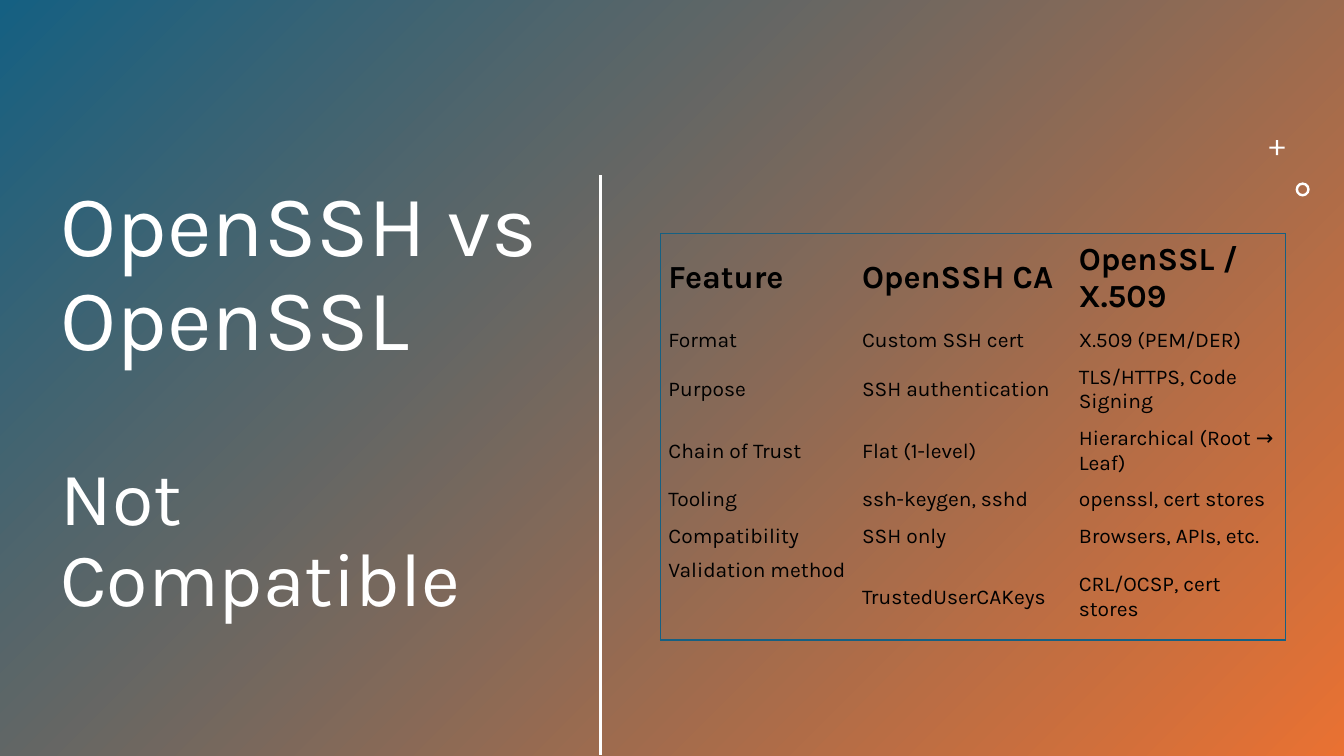
from lxml import etree
from pptx import Presentation
from pptx.dml.color import RGBColor
from pptx.enum.shapes import MSO_CONNECTOR, MSO_SHAPE
from pptx.enum.text import MSO_ANCHOR, MSO_AUTO_SIZE, PP_ALIGN
from pptx.oxml.ns import qn
from pptx.util import Inches, Pt

TOP, MIDDLE = MSO_ANCHOR.TOP, MSO_ANCHOR.MIDDLE
LEFT = PP_ALIGN.LEFT
COLORS = {"blue": "156082", "orange": "E97132", "white": "FFFFFF", "black": "000000"}
FONT = "Karla"


def rgb(name):
    return RGBColor.from_string(COLORS[name])


def write(para, text, size, color, bold=False, line_spacing=1.0, space_before=0):
    para.alignment = LEFT
    para.line_spacing = line_spacing
    para.space_before = Pt(space_before)
    span = para.add_run()
    span.text = text
    span.font.name = FONT
    span.font.size = Pt(size)
    span.font.bold = bold
    span.font.color.rgb = rgb(color)


deck = Presentation()
deck.slide_width, deck.slide_height = Inches(13.33), Inches(7.5)
page = deck.slides.add_slide(deck.slide_layouts[5])
title = page.shapes.title

# Gradient backdrop, placed behind the title
backdrop = page.shapes.add_shape(
    MSO_SHAPE.RECTANGLE, 0, 0, deck.slide_width, deck.slide_height)
backdrop.shadow.inherit = False
backdrop.line.fill.background()
backdrop.fill.gradient()
backdrop.fill.gradient_angle = 315
for stop, color in zip(backdrop.fill.gradient_stops, ("blue", "orange")):
    stop.color.rgb = rgb(color)
title._element.addprevious(backdrop._element)

# Title
title.left, title.top = Inches(0.5), Inches(1.75)
title.width, title.height = Inches(5.21), Inches(3.97)
frame = title.text_frame
frame.word_wrap = True
frame.auto_size = MSO_AUTO_SIZE.NONE
frame.vertical_anchor = TOP
write(frame.paragraphs[0], "OpenSSH vs OpenSSL", 62, "white", line_spacing=0.9)
write(frame.add_paragraph(), "Not Compatible", 54, "white",
      line_spacing=0.9, space_before=65)

# Divider
divider = page.shapes.add_connector(
    MSO_CONNECTOR.STRAIGHT, Inches(5.96), Inches(1.74), Inches(5.96), Inches(7.49))
divider.line.color.rgb = rgb("white")
divider.line.width = Pt(2)
etree.SubElement(divider._element.spPr, qn("a:effectLst"))

# Plus and ring ornaments: shape, left, top, side, adjustment
for kind, left, top, side, adjustment in (
    (MSO_SHAPE.CROSS, 12.59, 1.39, 0.15, 0.43),
    (MSO_SHAPE.DONUT, 12.85, 1.81, 0.14, 0.18),
):
    ornament = page.shapes.add_shape(
        kind, Inches(left), Inches(top), Inches(side), Inches(side))
    ornament.adjustments[0] = adjustment
    ornament.shadow.inherit = False
    ornament.fill.solid()
    ornament.fill.fore_color.rgb = rgb("white")
    ornament.line.fill.background()

# Comparison table
ROWS = [
    ("Feature", "OpenSSH CA", "OpenSSL / X.509"),
    ("Format", "Custom SSH cert", "X.509 (PEM/DER)"),
    ("Purpose", "SSH authentication", "TLS/HTTPS, Code Signing"),
    ("Chain of Trust", "Flat (1-level)", "Hierarchical (Root → Leaf)"),
    ("Tooling", "ssh-keygen, sshd", "openssl, cert stores"),
    ("Compatibility", "SSH only", "Browsers, APIs, etc."),
    ("Validation method", "TrustedUserCAKeys", "CRL/OCSP, cert stores"),
]
WIDTHS = [1.92, 2.15, 2.13]
HEIGHTS = [0.88, 0.36, 0.61, 0.61, 0.36, 0.36, 0.85]
last_row, last_column = len(ROWS) - 1, len(WIDTHS) - 1

table = page.shapes.add_table(
    len(ROWS), len(WIDTHS), Inches(6.55), Inches(2.32),
    Inches(sum(WIDTHS)), Inches(sum(HEIGHTS))).table
table.first_row = table.horz_banding = False
for column, width in zip(table.columns, WIDTHS):
    column.width = Inches(width)
for row, height in zip(table.rows, HEIGHTS):
    row.height = Inches(height)

for r, texts in enumerate(ROWS):
    for c, text in enumerate(texts):
        cell = table.cell(r, c)
        cell.margin_left = cell.margin_right = Inches(0.08)
        cell.margin_top = cell.margin_bottom = Inches(0.04)
        cell.vertical_anchor = TOP if (r, c) == (last_row, 0) else MIDDLE
        write(cell.text_frame.paragraphs[0], text, 23 if r == 0 else 15,
              "black", bold=r == 0)

        # Only the outer edge of the table is ruled
        properties = cell._tc.get_or_add_tcPr()
        for tag, outer in (("a:lnL", c == 0), ("a:lnR", c == last_column),
                           ("a:lnT", r == 0), ("a:lnB", r == last_row)):
            edge = etree.SubElement(properties, qn(tag), w=str(Pt(1)))
            if outer:
                fill = etree.SubElement(edge, qn("a:solidFill"))
                etree.SubElement(fill, qn("a:srgbClr"), val=COLORS["blue"])
            else:
                etree.SubElement(edge, qn("a:noFill"))
        cell.fill.background()

deck.save("out.pptx")
